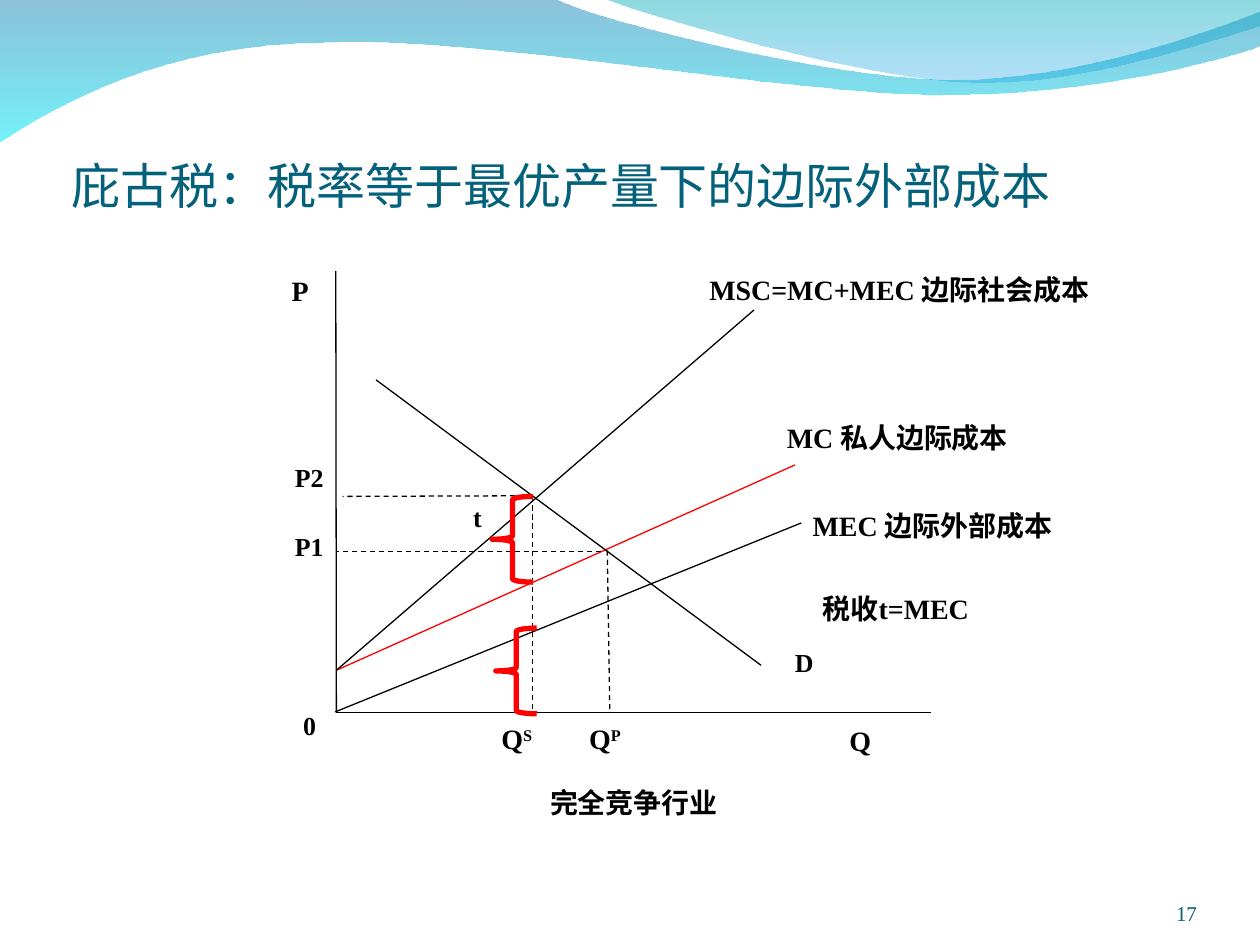
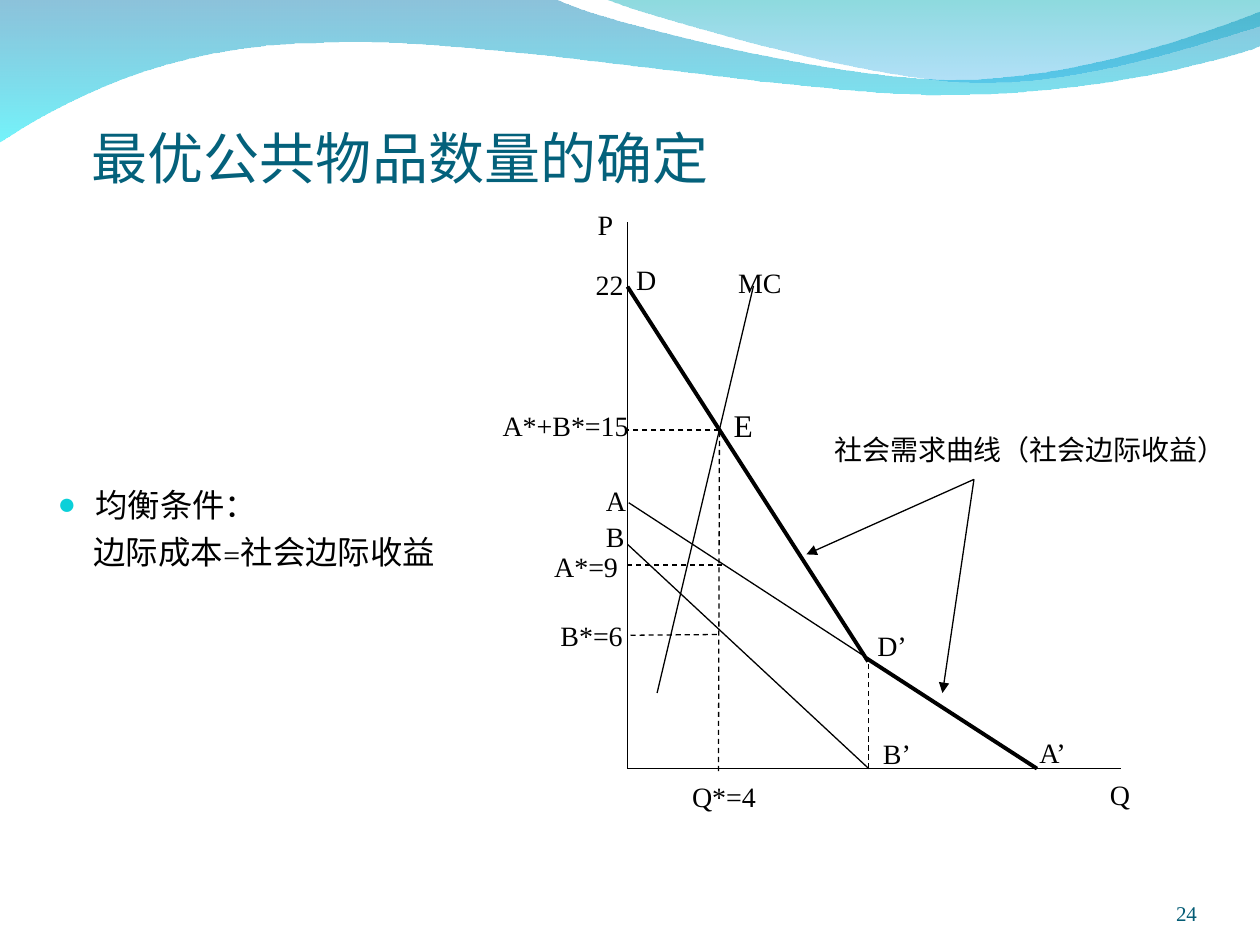
from dataclasses import dataclass
from typing import NamedTuple

import lxml.etree
import pptx
import pptx.dml.color
import pptx.enum.dml
import pptx.enum.shapes
import pptx.enum.text
import pptx.oxml.ns
import pptx.util

RGB = pptx.dml.color.RGBColor.from_string
ALIGN = pptx.enum.text.PP_ALIGN
ANCHOR = pptx.enum.text.MSO_ANCHOR
qn = pptx.oxml.ns.qn

WIDTH = pptx.util.Inches(10)
HEIGHT = pptx.util.Inches(7.5)
COLUMNS, ROWS = 100, 75


@dataclass(frozen=True)
class Theme:
    ink: str = "000000"
    title: str = "04617B"
    page: str = "045C75"
    accent: str = "FF0000"
    bullet: str = "0BD0D9"
    label_font: str = "Times New Roman"
    cjk_font: str = "Noto Sans CJK SC"
    title_font: str = "Calibri"
    body_font: str = "Vollkorn"
    page_size: float = 12
    small_size: float = 14.8
    label_size: float = 16
    point_size: float = 18
    body_size: float = 18.5
    long_title_size: float = 28
    title_size: float = 32
    thin: float = 0.75
    bold_line: float = 2.25
    brace_line: float = 3


THEME = Theme()


class Point(NamedTuple):
    x: float
    y: float


class Box(NamedTuple):
    x: float
    y: float
    w: float
    h: float


@dataclass(frozen=True)
class Segment:
    start: Point
    end: Point
    color: str = THEME.ink
    width: float = THEME.thin
    dashed: bool = False
    arrow: bool = False


@dataclass(frozen=True)
class Label:
    text: str
    box: Box
    size: float = THEME.label_size
    superscript: str = ""
    align: ALIGN = ALIGN.LEFT


@dataclass(frozen=True)
class Wave:
    start: Point
    steps: tuple[tuple[float, ...], ...]
    stops: tuple[tuple[str, int], ...]


WAVES = (
    Wave(Point(0, -0.1),
         ((44, -0.1), (47.6, 1.7, 66.4, 6.3, 75.8, 6.3), (85.3, 6.3, 95.8, 2.6, 100, 0.9),
          (100.1, 3.6), (98.3, 4.4, 87, 7.6, 74.6, 7.5), (62.2, 7.5, 38.2, 2.8, 25.7, 3.4),
          (12.9, 3.5, 4.6, 8.3, -0.1, 11.3)),
         (("0079AF", 45), ("00EBF8", 55))),
    Wave(Point(47.9, -0.1),
         ((50.9, 1.1, 68.2, 6.2, 76.9, 6.5), (85.6, 6.9, 96.1, 3.2, 100, 2.1), (100, 0)),
         (("00ADB6", 45), ("009BE5", 30))),
)


def col(x: float) -> int:
    return round(WIDTH * x / COLUMNS)


def row(y: float) -> int:
    return round(HEIGHT * y / ROWS)


def place(box: Box) -> tuple[int, int, int, int]:
    return col(box.x), row(box.y), col(box.w), row(box.h)


def write_text(slide, box: Box, *lines: str, size: float = THEME.label_size,
               font: str = THEME.label_font, color: str = THEME.ink, bold: bool = False,
               align: ALIGN = ALIGN.LEFT, anchor: ANCHOR = ANCHOR.TOP,
               inset: tuple[float, float] = (0, 0), bottom: float | None = None,
               wrap: bool = True, spacing: float | None = None, superscript: str = ""):
    frame = slide.shapes.add_textbox(*place(box)).text_frame
    frame.word_wrap = wrap
    frame.vertical_anchor = anchor
    frame.margin_left = frame.margin_right = col(inset[0])
    frame.margin_top = row(inset[1])
    frame.margin_bottom = row(inset[1] if bottom is None else bottom)
    for index, line in enumerate(lines):
        paragraph = frame.paragraphs[0] if index == 0 else frame.add_paragraph()
        paragraph.alignment = align
        if spacing:
            paragraph.line_spacing = spacing
        for piece in filter(None, (line, superscript)):
            run = paragraph.add_run()
            run.text = piece
            run.font.size = pptx.util.Pt(size)
            run.font.name = font
            run.font.bold = bold
            run.font.color.rgb = RGB(color)
            properties = run.font._element
            lxml.etree.SubElement(properties, qn("a:ea"), typeface=THEME.cjk_font)
            if piece == superscript:
                properties.set("baseline", "30000")
    return frame


def draw_segment(slide, segment: Segment) -> None:
    line = slide.shapes.add_connector(
        pptx.enum.shapes.MSO_CONNECTOR.STRAIGHT,
        col(segment.start.x), row(segment.start.y), col(segment.end.x), row(segment.end.y))
    line.line.color.rgb = RGB(segment.color)
    line.line.width = pptx.util.Pt(segment.width)
    if segment.dashed:
        line.line.dash_style = pptx.enum.dml.MSO_LINE.DASH
    properties = line._element.spPr
    if segment.arrow:
        lxml.etree.SubElement(properties.find(qn("a:ln")), qn("a:tailEnd"), type="triangle")
    lxml.etree.SubElement(properties, qn("a:effectLst"))


def draw_brace(slide, box: Box) -> None:
    brace = slide.shapes.add_shape(pptx.enum.shapes.MSO_SHAPE.LEFT_BRACE, *place(box))
    brace.shadow.inherit = False
    brace.fill.background()
    brace.line.color.rgb = RGB(THEME.accent)
    brace.line.width = pptx.util.Pt(THEME.brace_line)


def bend_steps(band, wave: Wave) -> None:
    for corner, step in zip(list(band._element.spPr.iter(qn("a:lnTo"))), wave.steps):
        if len(step) == 2:
            continue
        bend = lxml.etree.Element(qn("a:cubicBezTo"))
        for x, y in zip(step[::2], step[1::2]):
            lxml.etree.SubElement(bend, qn("a:pt"), x=str(col(x) - band.left),
                                  y=str(row(y) - band.top))
        corner.getparent().replace(corner, bend)


def draw_wave(slide, wave: Wave) -> None:
    outline = slide.shapes.build_freeform(col(wave.start.x), row(wave.start.y))
    outline.add_line_segments([(col(step[-2]), row(step[-1])) for step in wave.steps], close=True)
    band = outline.convert_to_shape()
    bend_steps(band, wave)
    band.shadow.inherit = False
    band.line.fill.background()
    band.fill.gradient()
    band.fill.gradient_angle = 270
    for stop, (color, _) in zip(band.fill.gradient_stops, wave.stops):
        stop.color.rgb = RGB(color)
    tints = band._element.spPr.find(qn("a:gradFill")).iter(qn("a:srgbClr"))
    for tint, (_, opacity) in zip(list(tints), wave.stops):
        lxml.etree.SubElement(tint, qn("a:alpha"), val=str(opacity * 1000))


def start_slide(deck, title: str, title_box: Box, page: int, size: float, font: str):
    slide = deck.slides.add_slide(deck.slide_layouts[6])
    for wave in WAVES:
        draw_wave(slide, wave)
    write_text(slide, title_box, title, size=size, font=font, color=THEME.title,
               anchor=ANCHOR.BOTTOM, inset=(0, 0.5), bottom=0)
    write_text(slide, Box(86.7, 69.5, 8.3, 4), str(page), size=THEME.page_size,
               color=THEME.page, align=ALIGN.RIGHT, anchor=ANCHOR.BOTTOM)
    return slide


def build_pigou_tax(deck) -> None:
    slide = start_slide(deck, "庇古税：税率等于最优产量下的边际外部成本",
                        Box(5.7, 9.9, 90, 7.1), 17, THEME.long_title_size, THEME.cjk_font)
    origin = Point(26.7, 56.55)
    cost_start = Point(origin.x, 53.2)
    optimum = Point(42.28, 39.4)
    market = Point(48.2, 43.7)
    curves = (
        Segment(origin, Point(73.9, origin.y)),
        Segment(origin, Point(26.65, 21.5)),
        Segment(cost_start, Point(63.1, 36.9), color=THEME.accent),
        Segment(cost_start, Point(59.85, 24.6)),
        Segment(Point(29.85, 30.15), Point(60.4, 52.8)),
        Segment(Point(26.6, 56.5), Point(63.6, 41.5)),
        Segment(optimum, Point(optimum.x, origin.y), dashed=True),
        Segment(market, Point(48.4, origin.y), dashed=True),
        Segment(Point(47.7, 43.76), Point(origin.x, 43.76), dashed=True),
        Segment(Point(41.6, 39.35), Point(27.2, 39.4), dashed=True),
    )
    for curve in curves:
        draw_segment(slide, curve)
    small = THEME.small_size
    labels = (
        Label("Q", Box(67.4, 57.45, 5.9, 2.9)),
        Label("P", Box(23.15, 21.7, 3.4, 2.9)),
        Label("MSC=MC+MEC 边际社会成本", Box(56.3, 21.65, 32.3, 2.9)),
        Label("MC 私人边际成本", Box(62.45, 33.4, 26.2, 2.9)),
        Label("MEC 边际外部成本", Box(64.5, 40.35, 23.3, 2.9)),
        Label("税收t=MEC", Box(65.3, 46.95, 23.3, 2.9)),
        Label("Q", Box(46.75, 57.3, 3.3, 3.1), superscript="P"),
        Label("Q", Box(39.8, 57.3, 3.3, 3.1), superscript="S"),
        Label("完全竞争行业", Box(40.75, 62.35, 19.1, 3.9), align=ALIGN.CENTER),
        Label("D", Box(63.1, 51.6, 6.6, 2.5), small),
        Label("0", Box(24.05, 56.6, 2.1, 2.5), small),
        Label("P1", Box(23.4, 42.4, 3.7, 2.5), small),
        Label("P2", Box(23.4, 36.9, 3.7, 2.5), small),
        Label("t", Box(37.55, 40.1, 3.5, 2.5), small),
    )
    for label in labels:
        write_text(slide, label.box, label.text, size=label.size, bold=True,
                   align=label.align, superscript=label.superscript,
                   spacing=0.9 if label.size == small else None)
    for corner in (Point(39.05, optimum.y), Point(39.35, 49.85)):
        draw_brace(slide, Box(*corner, 3.25, 6.8))


def write_condition(slide) -> None:
    frame = write_text(slide, Box(3.6, 38, 35, 11.4), "均衡条件：", "边际成本=社会边际收益",
                       size=THEME.body_size, font=THEME.body_font, inset=(1, 0.5))
    heading, equation = frame.paragraphs
    properties = heading._p.get_or_add_pPr()
    properties.set("marL", str(col(3)))
    properties.set("indent", str(-col(3)))
    color = lxml.etree.SubElement(properties, qn("a:buClr"))
    lxml.etree.SubElement(color, qn("a:srgbClr"), val=THEME.bullet)
    lxml.etree.SubElement(properties, qn("a:buSzPct"), val="95000")
    lxml.etree.SubElement(properties, qn("a:buFont"), typeface=THEME.label_font)
    lxml.etree.SubElement(properties, qn("a:buChar"), char="●")
    equation.space_before = pptx.util.Pt(5)
    equation._p.get_or_add_pPr().set("marL", str(col(2.85)))


def build_public_goods(deck) -> None:
    slide = start_slide(deck, "最优公共物品数量的确定", Box(7.3, 7.6, 85, 7.5), 24,
                        THEME.title_size, THEME.title_font)
    write_condition(slide)
    origin = Point(49.8, 61)
    equilibrium = Point(57.1, 34.12)
    kink = Point(68.9, 52.5)
    demand_end = Point(82.3, origin.y)
    callout = Point(77.3, 38.05)
    curves = (
        Segment(origin, Point(89, origin.y)),
        Segment(origin, Point(origin.x, 17.6)),
        Segment(Point(origin.x, 43.2), Point(68.95, origin.y)),
        Segment(Point(49.9, 39.9), demand_end),
        Segment(Point(68.95, origin.y), Point(68.95, 52.5), dashed=True),
        Segment(kink, Point(origin.x, 22.75), width=THEME.bold_line),
        Segment(demand_end, Point(68.7, 52.2), width=THEME.bold_line),
        Segment(Point(57.02, 61.2), equilibrium, dashed=True),
        Segment(Point(56.9, 50.36), Point(origin.x, 50.42), dashed=True),
        Segment(Point(57.3, 44.85), Point(origin.x, 44.85), dashed=True),
        Segment(equilibrium, Point(49.6, equilibrium.y), dashed=True),
        Segment(Point(52.15, 55), Point(59.8, 22.7)),
        Segment(callout, Point(64, 44), arrow=True),
        Segment(callout, Point(74.8, 55), arrow=True),
    )
    for curve in curves:
        draw_segment(slide, curve)
    labels = (
        Label("Q*=4", Box(53.95, 61.35, 7.3, 3.7)),
        Label("B*=6", Box(43.5, 48.6, 7.3, 3.7)),
        Label("A*=9", Box(43, 43.15, 7.3, 3.7)),
        Label("A*+B*=15", Box(38.9, 31.9, 12.2, 3.7)),
        Label("22", Box(46.3, 20.75, 4.4, 3.7)),
        Label("A", Box(47.1, 37.9, 3.8, 3.7)),
        Label("B", Box(47.1, 40.75, 3.8, 3.7)),
        Label("D", Box(49.5, 20.35, 3.8, 3.7)),
        Label("A’", Box(81.5, 57.85, 4.6, 3.7)),
        Label("B’", Box(69.1, 57.95, 4.6, 3.7)),
        Label("D’", Box(68.65, 49.4, 4.6, 3.7)),
        Label("MC", Box(57.6, 20.55, 5.7, 3.7)),
        Label("P", Box(46.45, 15.95, 3.4, 3.7)),
        Label("Q", Box(87.1, 61.2, 3.8, 3.7)),
        Label("E", Box(57.25, 31.75, 3.7, 4), THEME.point_size),
        Label("社会需求曲线（社会边际收益）", Box(65.25, 33.85, 33.6, 3.7)),
    )
    for label in labels:
        write_text(slide, label.box, label.text, size=label.size, inset=(1, 0.5))


def main() -> None:
    deck = pptx.Presentation()
    deck.slide_width, deck.slide_height = WIDTH, HEIGHT
    build_pigou_tax(deck)
    build_public_goods(deck)
    deck.save("out.pptx")


if __name__ == "__main__":
    main()
